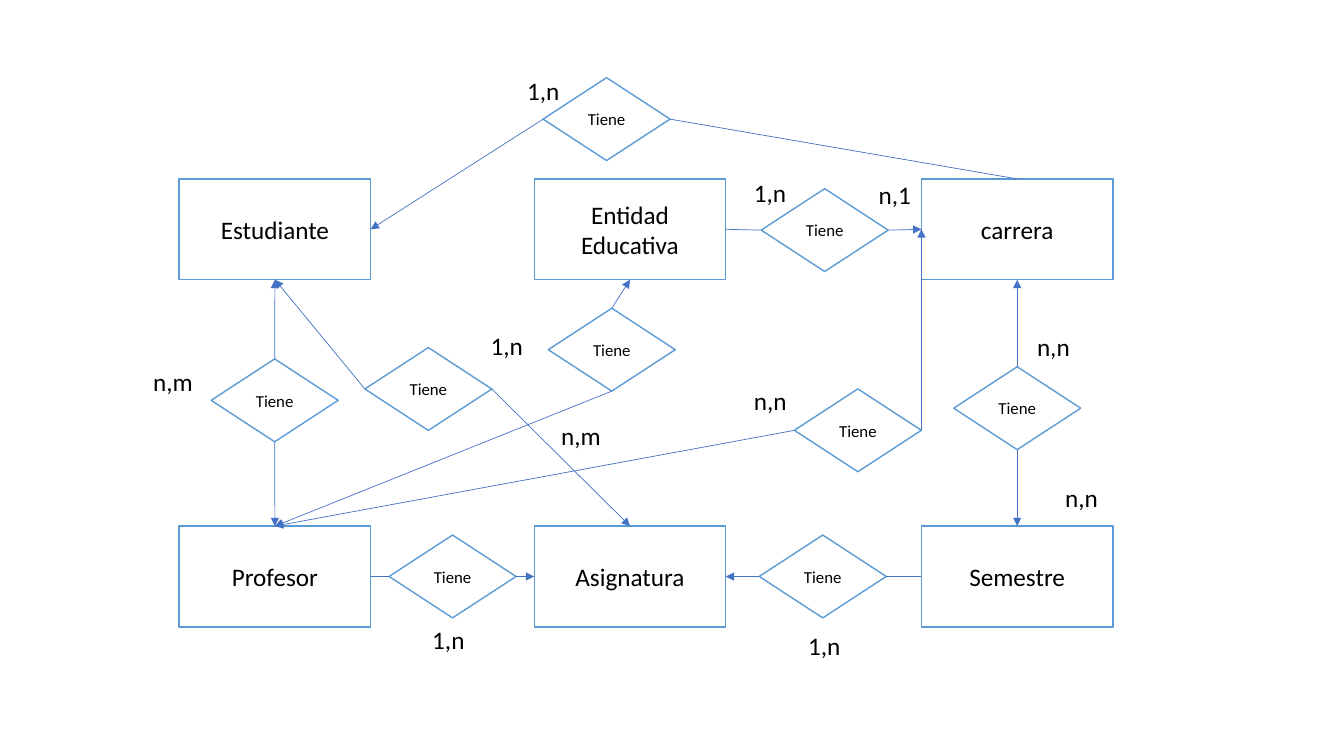
from pptx import Presentation
from pptx.dml.color import RGBColor
from pptx.enum.shapes import MSO_CONNECTOR as Connector, MSO_SHAPE as Shape
from pptx.enum.text import MSO_ANCHOR as Anchor, MSO_AUTO_SIZE as AutoSize, PP_ALIGN as Align
from pptx.oxml.ns import qn
from pptx.util import Pt
from lxml.etree import SubElement

TOP, LEFT, BOTTOM, RIGHT = range(4)  # connection sites of rectangles and diamonds
ENTITY_W, ENTITY_H = 136.8, 72
DIAMOND_W, DIAMOND_H = 90.7, 59.2


def color(value):
    """Turn a hex string into a colour."""
    return RGBColor.from_string(value)


def write(box, text, size=18, align=Align.CENTER, anchor=Anchor.MIDDLE, wrap=True):
    """Put formatted text into a shape or text box."""
    frame = box.text_frame
    frame.word_wrap = wrap
    frame.vertical_anchor = anchor
    para = frame.paragraphs[0]
    para.alignment = align
    span = para.add_run()
    span.text = text
    span.font.name = "Calibri"
    span.font.size = Pt(size)
    span.font.color.rgb = color("000000")


deck = Presentation()
deck.slide_width, deck.slide_height = Pt(960), Pt(540)
page = deck.slides.add_slide(deck.slide_layouts[6])

# Entities: three columns, two rows; each named box is (kind, left, top, width, height, text, size)
columns = [128, 381.6, 658.2]
rows = [(127.8, ["Estudiante", "Entidad Educativa", "carrera"]),
        (375.8, ["Profesor", "Asignatura", "Semestre"])]
nodes = [(name, Shape.RECTANGLE, left, top, ENTITY_W, ENTITY_H, name, 18)
         for top, names in rows for left, name in zip(columns, names)]

# Relations: centre of the diamond, then its links (diamond side, entity, entity side, arrow)
relations = [
    (196.2, 286, [(TOP, "Estudiante", BOTTOM, True), (BOTTOM, "Profesor", TOP, True)]),
    (612.8, 307.4, [(LEFT, "Profesor", TOP, True), (RIGHT, "carrera", LEFT, True)]),
    (323.3, 411.8, [(LEFT, "Profesor", RIGHT, False), (RIGHT, "Asignatura", LEFT, True)]),
    (726.6, 291.6, [(TOP, "carrera", BOTTOM, True), (BOTTOM, "Semestre", TOP, True)]),
    (587.7, 411.8, [(LEFT, "Asignatura", RIGHT, True), (RIGHT, "Semestre", LEFT, False)]),
    (437, 249.8, [(TOP, "Entidad Educativa", BOTTOM, True), (BOTTOM, "Profesor", TOP, True)]),
    (589.1, 164.4, [(LEFT, "Entidad Educativa", RIGHT, False), (RIGHT, "carrera", LEFT, True)]),
    (433.3, 85.1, [(LEFT, "Estudiante", RIGHT, True), (RIGHT, "carrera", TOP, False)]),
    (306, 277.9, [(LEFT, "Estudiante", BOTTOM, True), (RIGHT, "Asignatura", TOP, True)]),
]
nodes += [(index, Shape.FLOWCHART_DECISION, x - DIAMOND_W / 2, y - DIAMOND_H / 2,
           DIAMOND_W, DIAMOND_H, "Tiene", 12) for index, (x, y, _) in enumerate(relations)]

boxes = {}
for key, kind, left, top, width, height, text, size in nodes:
    box = page.shapes.add_shape(kind, Pt(left), Pt(top), Pt(width), Pt(height))
    box.shadow.inherit = False
    box.fill.solid()
    box.fill.fore_color.rgb = color("FFFFFF")
    box.line.color.rgb = color("5B9BD5")
    box.line.width = Pt(1)
    write(box, text, size=size, wrap=kind == Shape.RECTANGLE)
    boxes[key] = box

for index, (_, _, links) in enumerate(relations):
    for diamond_side, entity, entity_side, arrow in links:
        link = page.shapes.add_connector(Connector.STRAIGHT, 0, 0, 0, 0)
        link.begin_connect(boxes[index], diamond_side)
        link.end_connect(boxes[entity], entity_side)
        link.line.color.rgb = color("4472C4")
        link.line.width = Pt(0.5)
        if arrow:
            SubElement(link.line._get_or_add_ln(), qn("a:tailEnd"), type="triangle")
        SubElement(link._element.spPr, qn("a:effectLst"))

# Cardinalities: text, left, top
cardinalities = [
    ("n,m", 102.4, 257.8), ("1,n", 369.4, 50.4), ("1,n", 301.7, 442.1), ("1,n", 570.2, 446.6),
    ("n,n", 733.7, 233.3), ("n,n", 753.8, 341.3), ("n,n", 531.4, 271.4), ("1,n", 343.4, 232.6),
    ("n,1", 620.6, 124.6), ("1,n", 531.4, 123.1), ("n,m", 393.8, 296.6),
]
for text, left, top in cardinalities:
    width = 43.2 if text == "n,m" else 38.2
    box = page.shapes.add_textbox(Pt(left), Pt(top), Pt(width), Pt(29))
    write(box, text, align=Align.LEFT, anchor=Anchor.TOP, wrap=False)
    box.text_frame.auto_size = AutoSize.SHAPE_TO_FIT_TEXT

deck.save("out.pptx")
